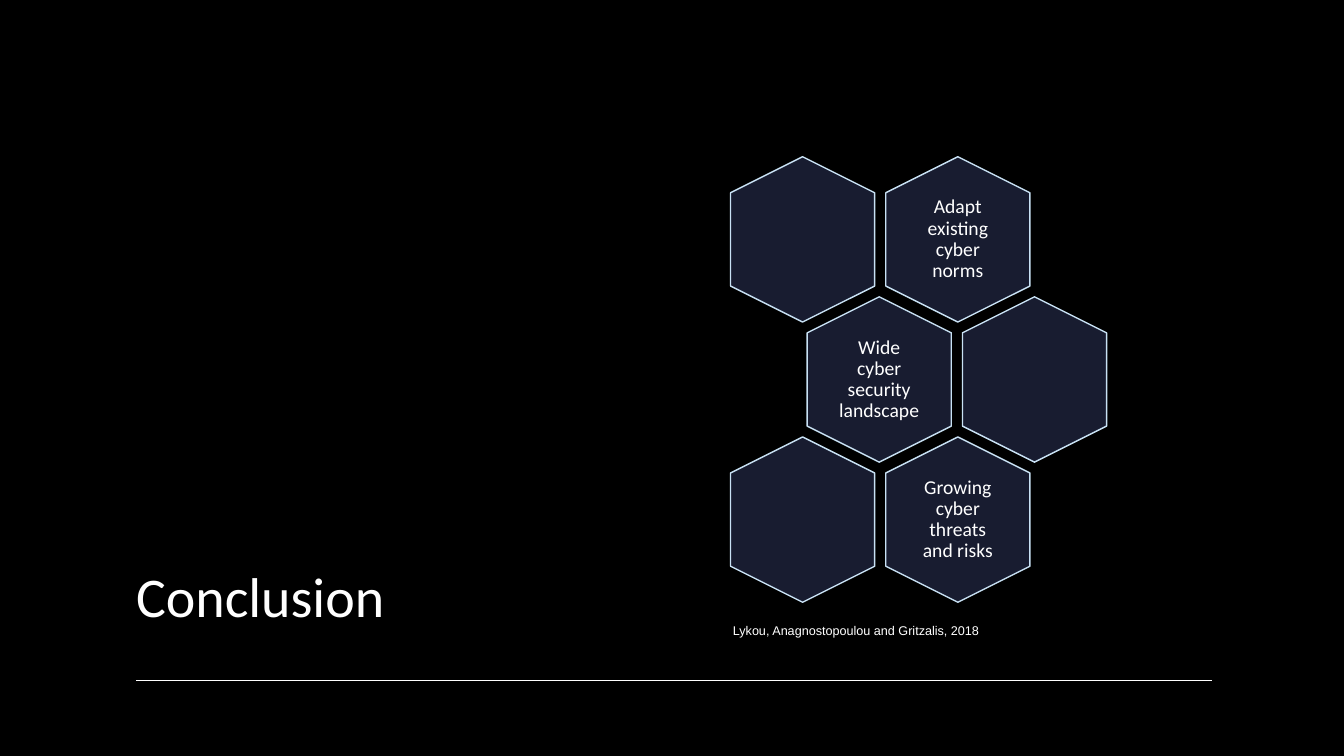
"""Build the conclusion slide with its honeycomb of findings."""
from lxml.etree import SubElement
from pptx import Presentation
from pptx.dml.color import RGBColor
from pptx.enum.shapes import MSO_CONNECTOR, MSO_SHAPE
from pptx.enum.text import MSO_ANCHOR, MSO_AUTO_SIZE, PP_ALIGN
from pptx.oxml.ns import qn
from pptx.util import Inches, Pt

BLACK = RGBColor(0x00, 0x00, 0x00)
WHITE = RGBColor(0xFF, 0xFF, 0xFF)
NAVY = RGBColor(0x18, 0x1C, 0x30)
PALE_BLUE = RGBColor(0xC8, 0xE1, 0xF4)

HONEYCOMB = [
    ["", "Adapt existing cyber norms"],
    ["Wide cyber security landscape", ""],
    ["", "Growing cyber threats and risks"],
]


def write(frame, text, size=14, font="Calibri", color=WHITE, align=PP_ALIGN.LEFT,
          anchor=MSO_ANCHOR.TOP, spacing=1.0, inset=None, fit=MSO_AUTO_SIZE.NONE):
    frame.word_wrap = True
    frame.auto_size = fit
    frame.vertical_anchor = anchor
    if inset is not None:
        frame.margin_left = frame.margin_right = Inches(inset)
        frame.margin_top = frame.margin_bottom = Inches(inset)
    para = frame.paragraphs[0]
    para.alignment = align
    para.line_spacing = spacing
    span = para.add_run()
    span.text = text
    span.font.size = Pt(size)
    span.font.name = font
    span.font.color.rgb = color


class Slide:
    def __init__(self, deck):
        self.page = deck.slides.add_slide(deck.slide_layouts[5])
        self.page.background.fill.solid()
        self.page.background.fill.fore_color.rgb = BLACK

    def title(self, text, left, top, width, height):
        box = self.page.shapes.title
        box.left, box.top = Inches(left), Inches(top)
        box.width, box.height = Inches(width), Inches(height)
        write(box.text_frame, text, size=40, anchor=MSO_ANCHOR.BOTTOM)

    def rule(self, left, right, top):
        line = self.page.shapes.add_connector(
            MSO_CONNECTOR.STRAIGHT, Inches(left), Inches(top), Inches(right), Inches(top))
        line.line.color.rgb = WHITE
        line.line.width = Pt(1)
        SubElement(line._element.spPr, qn("a:effectLst"))

    def text(self, text, left, top, width, height, shapes=None, **style):
        shapes = shapes or self.page.shapes
        box = shapes.add_textbox(Inches(left), Inches(top), Inches(width), Inches(height))
        write(box.text_frame, text, **style)

    def hexagon(self, shapes, left, top):
        cell = shapes.add_shape(
            MSO_SHAPE.HEXAGON, Inches(left), Inches(top), Inches(1.64), Inches(1.43))
        cell.rotation = 90
        cell.adjustments[0] = 0.25
        cell.shadow.inherit = False
        cell.fill.solid()
        cell.fill.fore_color.rgb = NAVY
        cell.line.color.rgb = PALE_BLUE
        cell.line.width = Pt(1)

    def honeycomb(self, rows, left, top):
        shapes = self.page.shapes.add_group_shape().shapes
        for row, labels in enumerate(rows):
            for column, label in enumerate(labels):
                x = left + 1.54 * column + 0.76 * (row % 2)
                y = top + 1.39 * row
                self.hexagon(shapes, x, y)
                if label:
                    self.text(label, x + 0.33, y + 0.15, 0.98, 1.13, shapes=shapes,
                              align=PP_ALIGN.CENTER, anchor=MSO_ANCHOR.MIDDLE,
                              spacing=0.9, inset=0.06)


def main():
    deck = Presentation()
    deck.slide_width, deck.slide_height = Inches(13.33), Inches(7.5)
    slide = Slide(deck)
    slide.title("Conclusion", 1.25, 1.29, 4.26, 5)
    slide.rule(1.35, 12.02, 6.75)
    slide.honeycomb(HONEYCOMB, 7.14, 1.66)
    slide.text("Lykou, Anagnostopoulou and Gritzalis, 2018", 7.17, 6.13, 6.15, 0.25,
               size=9, font="Arial", fit=MSO_AUTO_SIZE.SHAPE_TO_FIT_TEXT)
    deck.save("out.pptx")


if __name__ == "__main__":
    main()
